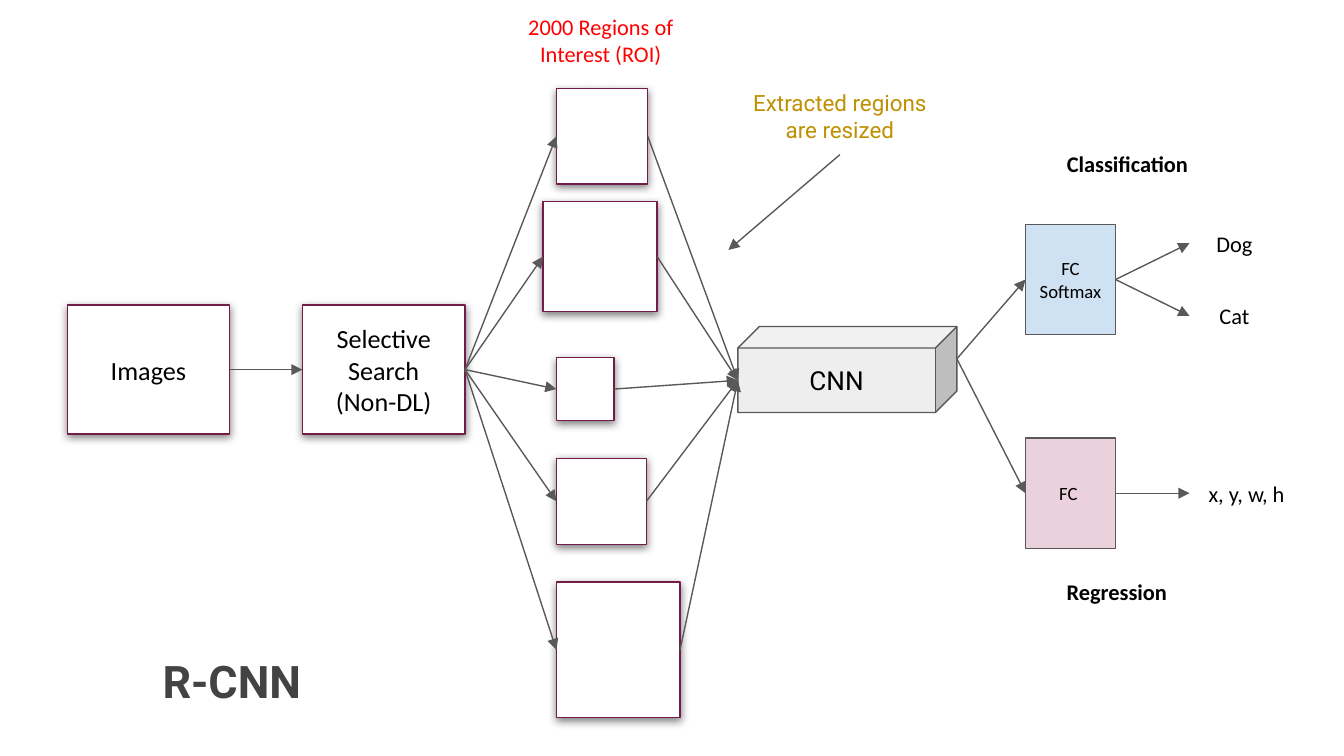
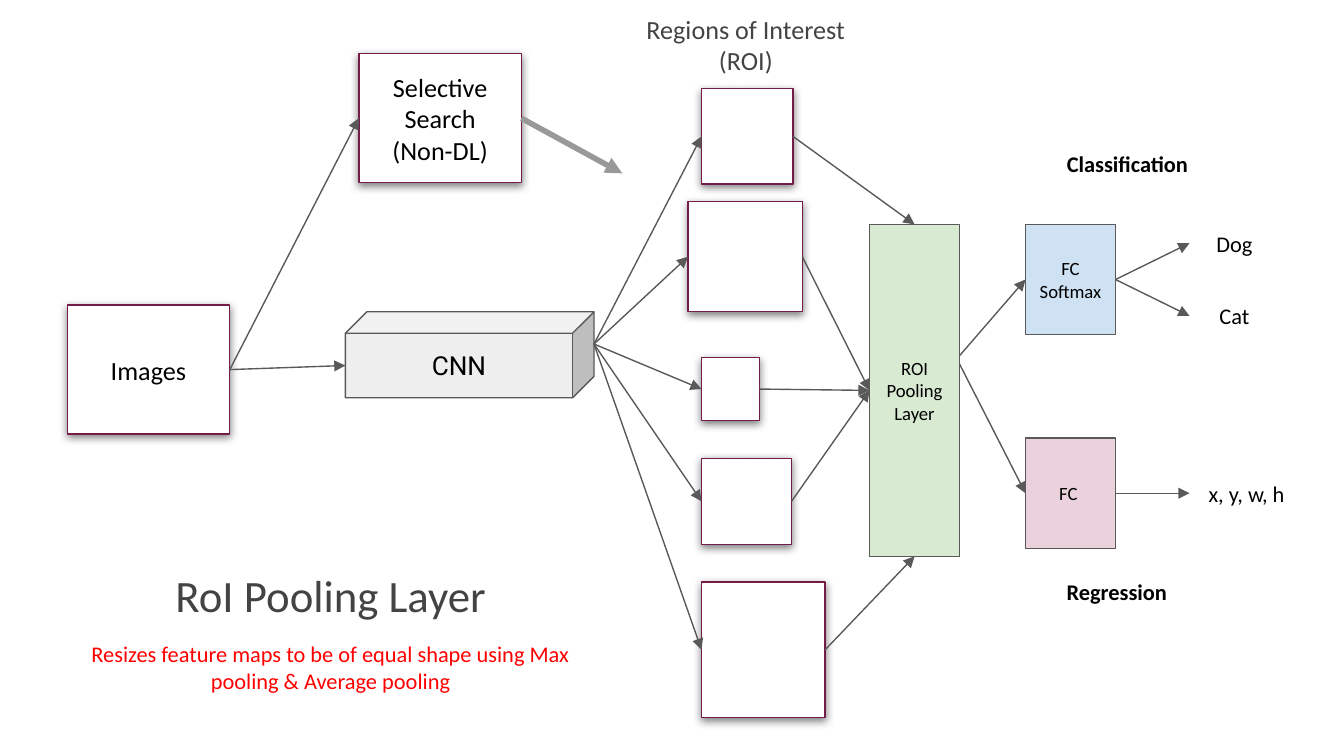
"""Build two slides that chart the R-CNN and RoI pooling flows."""
import pptx
import pptx.dml.color
import pptx.enum.shapes
import pptx.enum.text
import pptx.oxml
import pptx.oxml.ns
import pptx.util

Inches = pptx.util.Inches
Pt = pptx.util.Pt
KIND = pptx.enum.shapes.MSO_SHAPE
ANCHOR = pptx.enum.text.MSO_ANCHOR
qn = pptx.oxml.ns.qn
NS = pptx.oxml.ns.nsdecls("a")

WIDTH = 10
HEIGHT = WIDTH * 9 / 16
BLACK, WHITE, GRAY, RED = "000000", "FFFFFF", "434343", "FF0000"
EDGE, PLUM, GOLD, SILVER = "595959", "741B47", "BF9000", "999999"
PALE, BLUE, PINK, GREEN = "EEEEEE", "CFE2F3", "EAD1DC", "D9EAD3"
TOP, LEFT, BOTTOM, RIGHT = range(4)
REGIONS = [
    (0.1, 0, 0.68, 0.71),
    (0, 0.84, 0.85, 0.82),
    (0.1, 2, 0.43, 0.47),
    (0.1, 2.75, 0.67, 0.64),
    (0.1, 3.67, 0.92, 1.01),
]


def paint(color, value):
    """Set a colour from a hex string."""
    color.rgb = pptx.dml.color.RGBColor.from_string(value)


def style(run, size, font, color, bold=False):
    """Set the font of one run."""
    run.font.size = Pt(size)
    run.font.name = font
    run.font.bold = bold
    paint(run.font.color, color)


def write(shape, text, size, font="Calibri", color=BLACK, bold=False, anchor=ANCHOR.MIDDLE):
    """Fill a shape with centred text."""
    frame = shape.text_frame
    frame.word_wrap = True
    frame.vertical_anchor = anchor
    frame.margin_left = frame.margin_right = Inches(0.1)
    frame.margin_top = frame.margin_bottom = Inches(0.1)
    frame.text = text
    for para in frame.paragraphs:
        para.alignment = pptx.enum.text.PP_ALIGN.CENTER
        for run in para.runs:
            style(run, size, font, color, bold)


def label(slide, box, text, size=12, **look):
    """Add a text box."""
    shape = slide.shapes.add_textbox(*map(Inches, box))
    write(shape, text, size, **look)
    return shape


def block(slide, box, fill, line=EDGE, kind=KIND.RECTANGLE):
    """Add a filled shape with a thin outline."""
    shape = slide.shapes.add_shape(kind, *map(Inches, box))
    shape.shadow.inherit = False
    shape.fill.solid()
    paint(shape.fill.fore_color, fill)
    paint(shape.line.color, line)
    shape.line.width = Pt(0.75)
    return shape


def card(slide, box, text=""):
    """Add a white box with a plum outline and a soft shadow."""
    shape = block(slide, box, WHITE, PLUM)
    shape.element.spPr.find(qn("a:effectLst")).append(pptx.oxml.parse_xml(
        f'<a:outerShdw {NS} blurRad="{Pt(4.5)}" dist="{Pt(1.5)}" dir="5400000" '
        f'algn="bl" rotWithShape="0"><a:srgbClr val="{BLACK}">'
        '<a:alpha val="50000"/></a:srgbClr></a:outerShdw>'))
    if text:
        write(shape, text, 14)
    return shape


def arrow(slide, start, end, color=EDGE, width=0.75):
    """Join two ends, each a point or a shape with a side."""
    spots = [(0, 0) if hasattr(e[0], "shape_id") else e for e in (start, end)]
    line = slide.shapes.add_connector(
        pptx.enum.shapes.MSO_CONNECTOR.STRAIGHT, *[Inches(v) for s in spots for v in s])
    for spot, glue in ((start, line.begin_connect), (end, line.end_connect)):
        if hasattr(spot[0], "shape_id"):
            glue(*spot)
    paint(line.line.color, color)
    line.line.width = Pt(width)
    props = line.element.spPr
    props.find(qn("a:ln")).append(pptx.oxml.parse_xml(f'<a:tailEnd {NS} type="triangle"/>'))
    props.append(pptx.oxml.parse_xml(f"<a:effectLst {NS}/>"))


def network(slide, box):
    """Draw the CNN cube and return its left and right ports."""
    x, y, w, h = box
    cube = block(slide, box, PALE, kind=KIND.CUBE)
    write(cube, "CNN", 14, font="Roboto")
    depth = 0.25 * h
    return (x, y + (h + depth) / 2), (x + w, y + (h - depth) / 2)


def regions(slide, x, y, source):
    """Draw the regions of interest fed from one source."""
    cards = [card(slide, (x + dx, y + dy, w, h)) for dx, dy, w, h in REGIONS]
    for item in cards:
        arrow(slide, source, (item, LEFT))
    return cards


def heads(slide, x, y, source):
    """Draw the classification and regression heads."""
    soft = block(slide, (x, y, 0.67, 0.82), BLUE)
    write(soft, "FC Softmax", 10)
    full = block(slide, (x, y + 1.59, 0.67, 0.82), PINK)
    write(full, "FC ", 10)
    for head in (soft, full):
        arrow(slide, source, (head, LEFT))
    out = x + 1.22
    for head, text, dy, w, tip in (
        (soft, "Dog", 0, 0.67, 0.14),
        (soft, "Cat", 0.53, 0.67, 0.68),
        (full, "x, y, w, h", 1.86, 0.85, 2),
    ):
        label(slide, (out, y + dy, w, 0.29), text)
        arrow(slide, (head, RIGHT), (out, y + tip))
    label(slide, (x + 0.13, y - 0.6, 1.26, 0.29), "Classification", bold=True)
    label(slide, (x + 0.05, y + 2.59, 1.26, 0.29), "Regression", bold=True)


def inputs(slide, x, y):
    """Draw the images card and the search card at the given place."""
    images = card(slide, (0.5, 2.27, 1.21, 0.96), "Images")
    search = card(slide, (x, y, 1.21, 0.96), "Selective Search\n(Non-DL)")
    arrow(slide, (images, RIGHT), (search, LEFT))
    return images, search


def rcnn(slide):
    """Build the R-CNN slide."""
    search = inputs(slide, 2.25, 2.27)[1]
    front, back = network(slide, (5.49, 2.43, 1.63, 0.64))
    heads(slide, 7.63, 1.67, back)
    for item in regions(slide, 4.04, 0.66, (search, RIGHT)):
        arrow(slide, (item, RIGHT), front)
    label(slide, (0, 4.83, 3.45, 0.47), "R-CNN", 24, font="Roboto", color=GRAY, bold=True)
    label(slide, (3.63, 0, 1.68, 0.71), "2000 Regions of Interest (ROI)",
          color=RED, anchor=ANCHOR.TOP)
    label(slide, (5.38, 0.57, 1.74, 0.59), "Extracted regions are resized",
          font="Roboto", color=GOLD)
    arrow(slide, (6.25, 1.15), (5.42, 1.86))


def pooling(slide):
    """Build the RoI pooling slide."""
    images, search = inputs(slide, 2.67, 0.4)
    heads(slide, 7.63, 1.67, (7.12, 2.67))
    note = label(slide, (0.5, 4.17, 3.92, 1.05),
                 "RoI Pooling Layer\nResizes feature maps to be of equal shape "
                 "using Max pooling & Average pooling", 24, color=GRAY)
    para = note.text_frame.paragraphs[1]
    para.space_before = Pt(10)
    style(para.runs[0], 12, "Calibri", RED)
    front, back = network(slide, (2.57, 2.32, 1.85, 0.64))
    arrow(slide, (images, RIGHT), front)
    label(slide, (4.71, 0, 1.68, 0.71), "Regions of Interest (ROI)", 14,
          color=GRAY, anchor=ANCHOR.TOP)
    cards = regions(slide, 5.12, 0.66, back)
    pool = block(slide, (6.47, 1.67, 0.67, 2.47), GREEN)
    write(pool, "ROI\nPooling\nLayer", 10)
    for item, side in zip(cards, (TOP, LEFT, LEFT, LEFT, BOTTOM)):
        arrow(slide, (item, RIGHT), (pool, side))
    arrow(slide, (search, RIGHT), (4.63, 1.29), SILVER, 3)


def main():
    """Build and save the deck."""
    deck = pptx.Presentation()
    deck.slide_width, deck.slide_height = Inches(WIDTH), Inches(HEIGHT)
    for build in (rcnn, pooling):
        build(deck.slides.add_slide(deck.slide_layouts[6]))
    deck.save("out.pptx")


if __name__ == "__main__":
    main()
